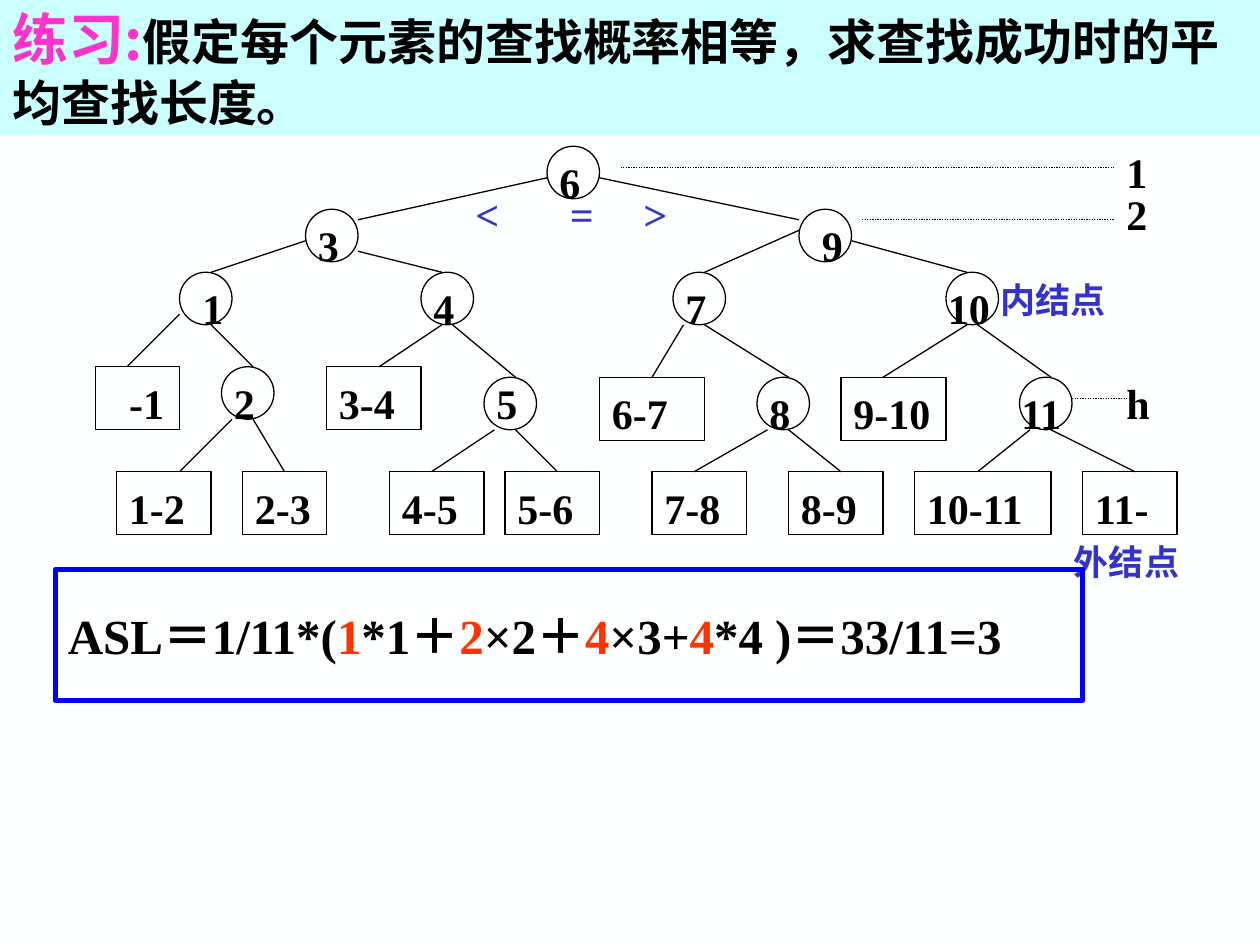
from lxml import etree
from pptx import Presentation
from pptx.dml.color import RGBColor
from pptx.enum.dml import MSO_LINE
from pptx.enum.shapes import MSO_CONNECTOR, MSO_SHAPE
from pptx.enum.text import MSO_ANCHOR, PP_ALIGN
from pptx.oxml.ns import qn
from pptx.util import Pt

RECT, OVAL = MSO_SHAPE.RECTANGLE, MSO_SHAPE.OVAL
STRAIGHT, DOTTED = MSO_CONNECTOR.STRAIGHT, MSO_LINE.ROUND_DOT
MIDDLE, LEFT = MSO_ANCHOR.MIDDLE, PP_ALIGN.LEFT
SERIF, SANS = "Times New Roman", "Noto Sans CJK SC"
COLORS = {"page": "FEFFFF", "ink": "000000", "band": "CCFFFF", "pink": "FF33CC",
          "note": "3333CC", "frame": "0000FF", "count": "FF3300"}
UNIT, NODE_SIZE, ROW_HEIGHT = 6, 5, 6

# Inner nodes: text, column, row, label shift across and down, label width
NODES = [("6", 43, 1, 0, 0, 6), ("3", 20, 7, 0, 0, 6), ("9", 67, 7, 1, 0, 8),
         ("1", 8, 13, 1, 0, 7), ("4", 31, 13, 0, 0, 6), ("7", 55, 13, 0, 0, 6),
         ("10", 81, 13, -1, 0, 8), ("2", 12, 22, 0, 0, 5), ("5", 37, 23, 0, -1, 7),
         ("8", 63, 23, 0, 0, 7), ("11", 88, 23, -1, 0, 7)]
LEAVES = [("-1", 0, 22, 8), ("3-4", 22, 22, 9), ("6-7", 48, 23, 10),
          ("9-10", 71, 23, 10), ("1-2", 2, 32, 9), ("2-3", 14, 32, 8),
          ("4-5", 28, 32, 9), ("5-6", 39, 32, 9), ("7-8", 53, 32, 9),
          ("8-9", 66, 32, 9), ("10-11", 78, 32, 13), ("11-", 94, 32, 9)]
EDGES = [(43, 4, 25, 8), (48, 4, 67, 8), (20, 10, 11, 13), (25, 11, 33, 13),
         (67, 9, 58, 13), (72, 10, 83, 13), (8, 17, 3, 22), (11, 18, 15, 22),
         (33, 18, 27, 22), (34, 18, 40, 23), (56, 18, 53, 23), (58, 18, 66, 23),
         (83, 18, 75, 23), (84, 18, 91, 23), (13, 27, 8, 32), (15, 27, 18, 32),
         (38, 28, 32, 32), (40, 28, 44, 32), (64, 28, 57, 32), (66, 28, 71, 32),
         (89, 28, 84, 32), (91, 28, 99, 32)]
LEVEL_LINES = [(50, 3, 97, 3), (73, 8, 97, 8), (93, 25, 99, 25)]
LEVELS = [("1", 97, 0, 6), ("2", 97, 4, 7), ("h", 97, 22, 6)]
SIGNS = [(">", 51, 4, 9), ("<", 35, 4, 6), ("=", 44, 4, 7)]
NOTES = [("外结点", 92, 38, 13), ("内结点", 85, 13, 13)]


def rgb(name):
    """Return the named colour."""
    return RGBColor.from_string(COLORS[name])


def add_box(shapes, kind, box, fill=None, line=None, width=0.75):
    """Add a preset shape without shadow."""
    shape = shapes.add_shape(kind, *map(Pt, box))
    shape.shadow.inherit = False
    if fill:
        shape.fill.solid()
        shape.fill.fore_color.rgb = rgb(fill)
    else:
        shape.fill.background()
    if line:
        shape.line.color.rgb = rgb(line)
        shape.line.width = Pt(width)
    else:
        shape.line.fill.background()
    return shape


def write_label(shape, text, color="ink", size=24, top=6, left=7.2):
    """Write one bold line of text at the top left of a shape."""
    frame = shape.text_frame
    frame.word_wrap = True
    frame.vertical_anchor = MSO_ANCHOR.TOP
    frame.margin_top, frame.margin_left = Pt(top), Pt(left)
    para = frame.paragraphs[0]
    para.alignment = LEFT
    para.add_run().text = text
    font = para.font
    font.name, font.size, font.bold = SERIF, Pt(size), True
    font.color.rgb = rgb(color)


def write_spans(shape, spans):
    """Write a left-aligned paragraph of (text, colour, size, font) spans."""
    frame = shape.text_frame
    frame.word_wrap = True
    frame.vertical_anchor = MIDDLE
    para = frame.paragraphs[0]
    para.alignment = LEFT
    for text, color, size, name in spans:
        span = para.add_run()
        span.text = text
        span.font.name, span.font.size, span.font.bold = name, Pt(size), True
        span.font.color.rgb = rgb(color)


def add_line(shapes, ends, dash=None):
    """Add a thin straight line."""
    line = shapes.add_connector(STRAIGHT, *map(Pt, ends))
    line.line.color.rgb = rgb("ink")
    line.line.width = Pt(0.75)
    if dash:
        line.line.dash_style = dash
    etree.SubElement(line._element.spPr, qn("a:effectLst"))
    return line


def add_tree(page, left, top):
    """Draw the search tree on a grid of units from the given corner."""
    shapes = page.shapes.add_group_shape().shapes

    def cell(column, row, width, height):
        """Turn grid units into a box in points."""
        return left + column * UNIT, top + row * UNIT, width * UNIT, height * UNIT

    def ends(x1, y1, x2, y2):
        """Turn grid units into the two ends of a line."""
        return left + x1 * UNIT, top + y1 * UNIT, left + x2 * UNIT, top + y2 * UNIT

    def add_text(text, column, row, width, **style):
        """Add a text box on the grid."""
        box = shapes.add_textbox(*map(Pt, cell(column, row, width, ROW_HEIGHT)))
        write_label(box, text, **style)

    leaf_tops = {}
    for _, column, row, *_ in NODES:
        add_box(shapes, OVAL, cell(column, row, NODE_SIZE, NODE_SIZE), line="ink")
    for text, column, row, width in LEAVES:
        leaf = add_box(shapes, RECT, cell(column, row, width, ROW_HEIGHT), line="ink")
        write_label(leaf, text, left=19.2 if text == "-1" else 7.2)
        leaf_tops[column + width / 2, row] = leaf
    for edge in EDGES:
        line = add_line(shapes, ends(*edge))
        if edge[2:] in leaf_tops:
            line.end_connect(leaf_tops[edge[2:]], 0)
    for level_line in LEVEL_LINES:
        add_line(shapes, ends(*level_line), DOTTED)
    for text, column, row, across, down, width in NODES:
        add_text(text, column + across, row + down, width)
    for level in LEVELS:
        add_text(*level)
    for sign in SIGNS:
        add_text(*sign, color="note")
    for note in NOTES:
        add_text(*note, color="note", size=20, top=3.6)


def add_answer(page, box):
    """Add the framed formula for the average search length."""
    shape = add_box(page.shapes, RECT, box, line="frame", width=3)
    parts = ["ASL＝1/11*(", "1", "*1＋", "2", "×2＋", "4", "×3+", "4", "*4 )＝33/11=3"]
    write_spans(shape, [(text, "count" if index % 2 else "ink", 28, SERIF)
                        for index, text in enumerate(parts)])


def add_question(page, box):
    """Add the exercise band."""
    shape = add_box(page.shapes, RECT, box, fill="band")
    write_spans(shape, [
        ("练习:", "pink", 32, SANS),
        ("假定每个元素的查找概率相等，求查找成功时的平均查找长度。", "ink", 28, SERIF)])


def main():
    """Build and save the deck."""
    deck = Presentation()
    deck.slide_width, deck.slide_height = Pt(720), Pt(540)
    page = deck.slides.add_slide(deck.slide_layouts[6])
    page.background.fill.solid()
    page.background.fill.fore_color.rgb = rgb("page")
    add_tree(page, 54.6, 77.6)
    add_answer(page, (31.7, 325.5, 586.8, 74.9))
    add_question(page, (0, 0, 720, 77.6))
    deck.save("out.pptx")


if __name__ == "__main__":
    main()
